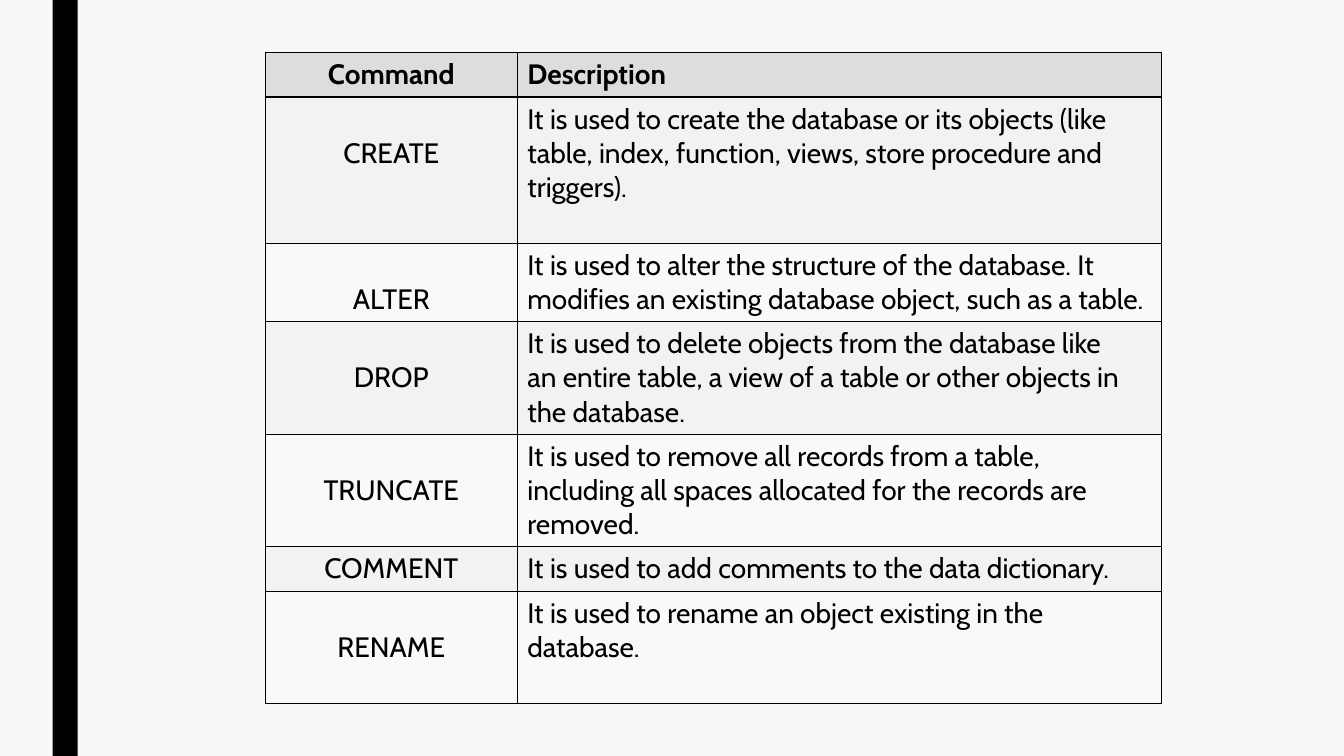
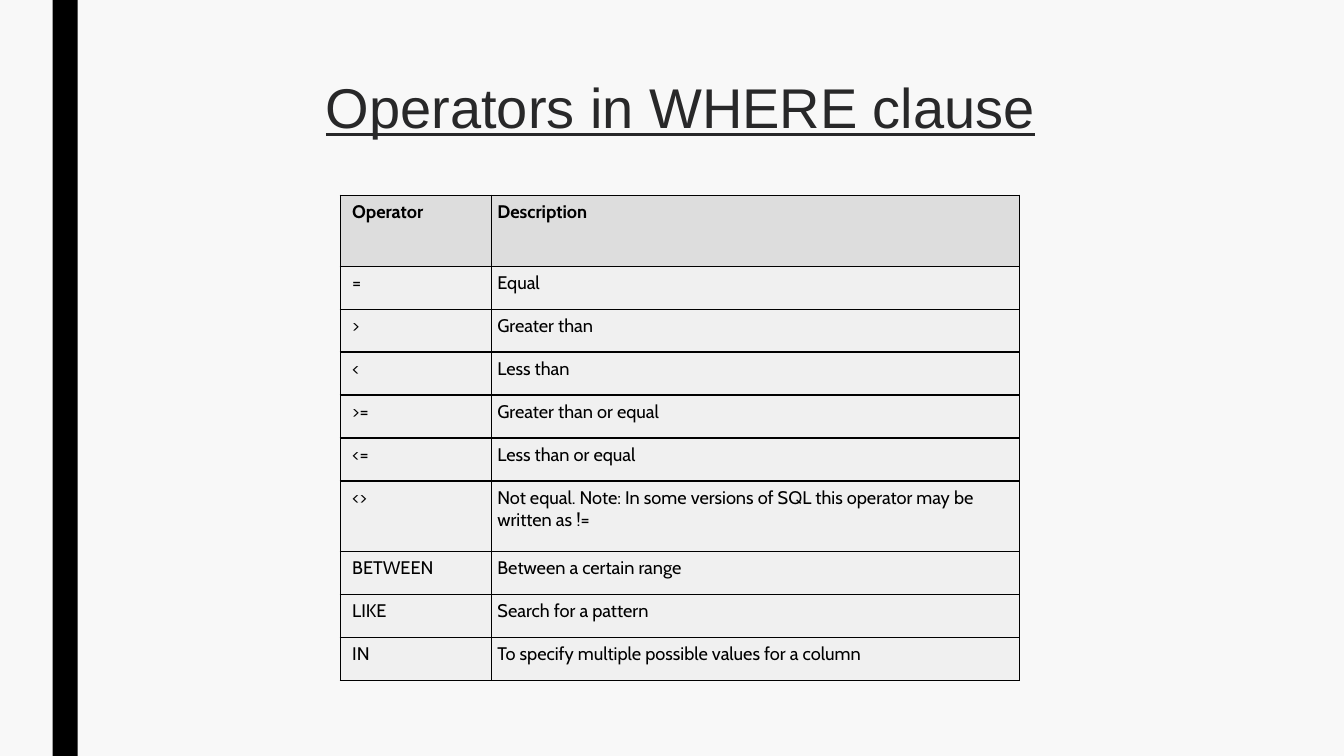
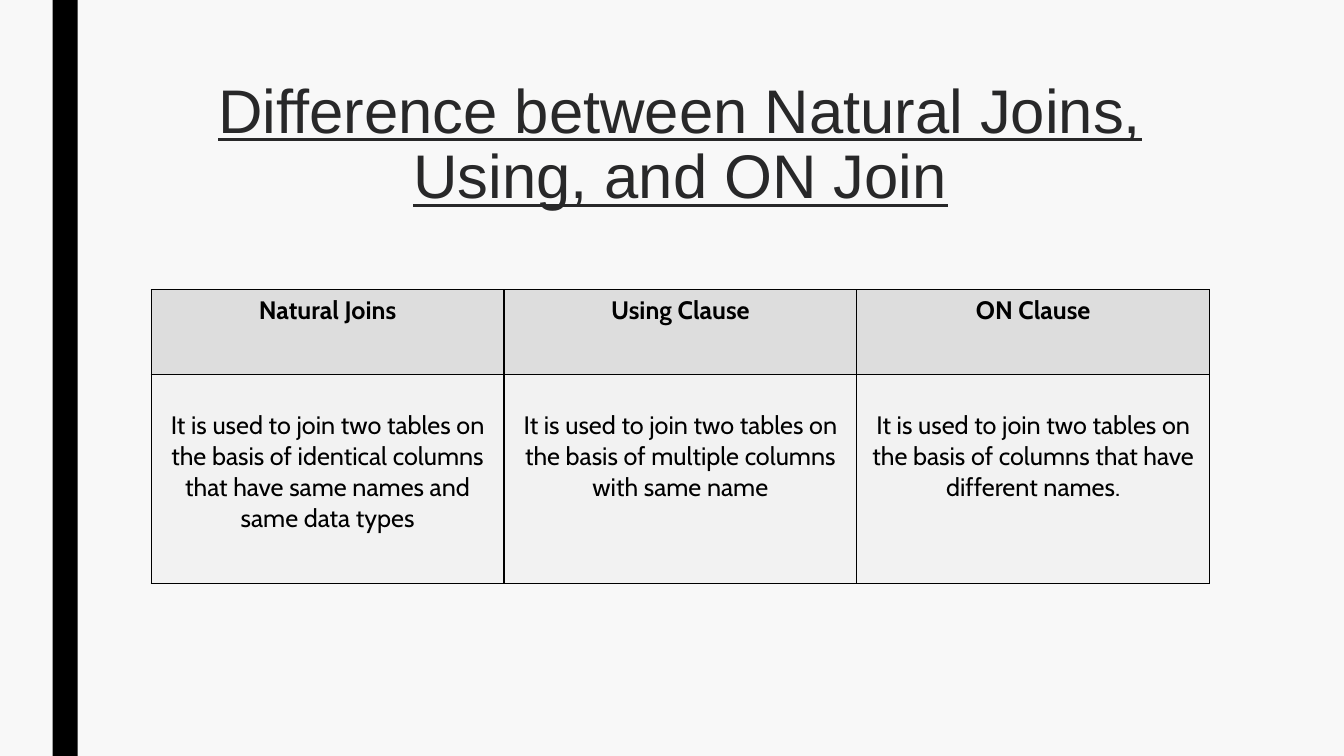
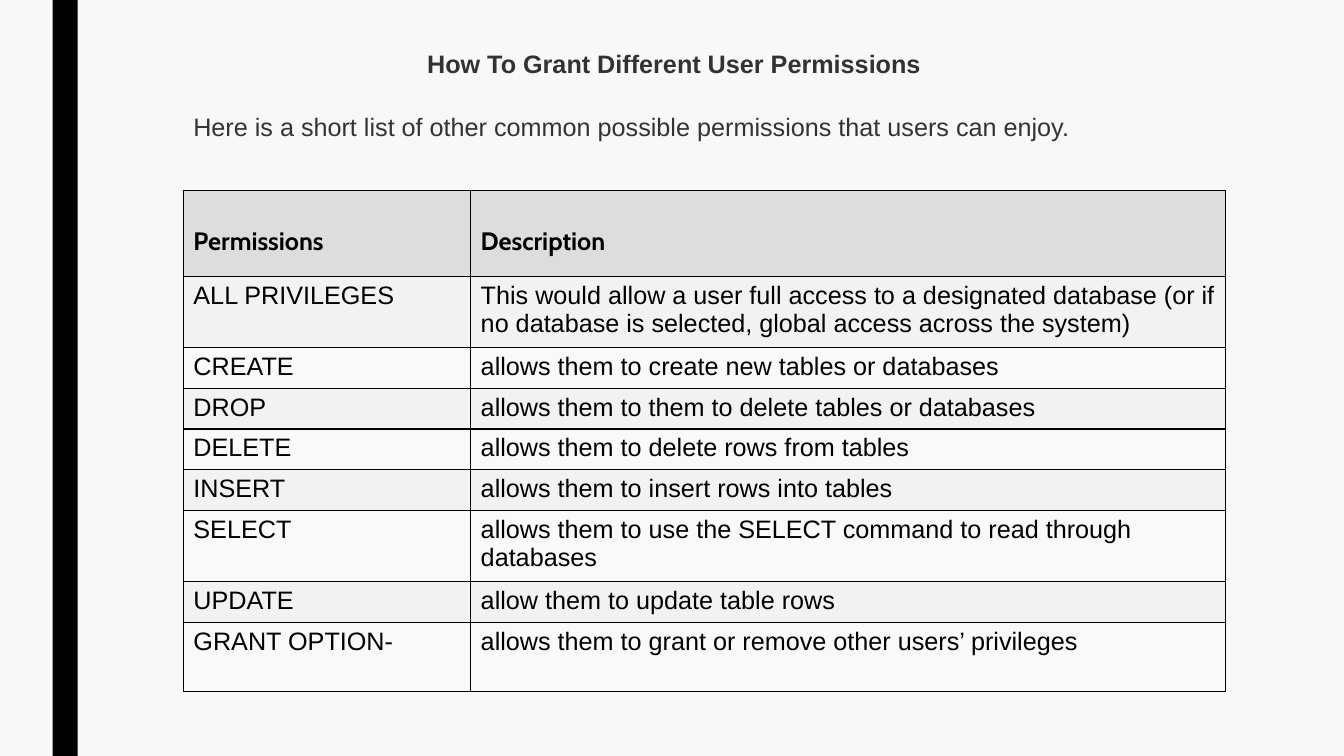
from dataclasses import dataclass

from lxml import etree
from pptx import Presentation
from pptx.dml.color import RGBColor
from pptx.enum.shapes import MSO_SHAPE
from pptx.enum.text import PP_ALIGN
from pptx.oxml.ns import qn
from pptx.util import Pt

CENTER, LEFT = PP_ALIGN.CENTER, PP_ALIGN.LEFT
RECTANGLE = MSO_SHAPE.RECTANGLE


@dataclass(frozen=True)
class Theme:
    background: str = "F8F8F8"
    ink: str = "000000"
    title: str = "282829"
    heading: str = "323232"
    lead: str = "333333"
    header: str = "DDDDDD"
    odd: str = "F2F2F2"
    even: str = "F9F9F9"
    plain: str = "F0F0F0"
    text_font: str = "Arial"
    table_font: str = "Cabin"
    large: int = 20
    medium: int = 18
    small: int = 13
    border: int = 1


THEME = Theme()
SLIDE_SIZE = (960, 540)
BAND = (37.5, 0, 18, 540)
TITLE_BOX = (108, 54, 756, 116.6)
INTRO_BOX = (131, 31, 701, 73)
INTRO_GAP = 23

COMMANDS = {
    "at": (189.5, 37.5),
    "columns": (180, 460),
    "heights": (31.8, 104.5, 56, 80.2, 80.2, 31.8, 80),
    "size": THEME.large,
    "alignments": (CENTER, LEFT),
    "drops": {(row, 0): 24.3 for row in (1, 2, 3, 4, 6)},
    "rows": [
        ("Command", "Description"),
        ("CREATE", "It is used to create the database or its objects (like table, index, function, views, store procedure and triggers)."),
        ("ALTER", "It is used to alter the structure of the database. It modifies an existing database object, such as a table."),
        ("DROP", "It is used to delete objects from the database like\nan entire table, a view of a table or other objects in the database."),
        ("TRUNCATE", "It is used to remove all records from a table, including all spaces allocated for the records are removed."),
        ("COMMENT", "It is used to add comments to the data dictionary."),
        ("RENAME", "It is used to rename an object existing in the database."),
    ],
}

OPERATORS = {
    "title": ("Operators in WHERE clause", 40),
    "at": (243, 139.5),
    "columns": (108, 377.5),
    "heights": (50.6, *[30.7] * 5, 50.2, *[30.7] * 3),
    "size": THEME.small,
    "alignments": (LEFT, LEFT),
    "fills": (THEME.plain, THEME.plain),
    "insets": ((8.6, 4.3), (4.3, 4.3)),
    "rows": [
        ("Operator", "Description"),
        ("=", "Equal"),
        (">", "Greater than"),
        ("<", "Less than"),
        (">=", "Greater than or equal"),
        ("<=", "Less than or equal"),
        ("<>", "Not equal. Note: In some versions of SQL this operator may be written as !="),
        ("BETWEEN", "Between a certain range"),
        ("LIKE", "Search for a pattern"),
        ("IN", "To specify multiple possible values for a column"),
    ],
}

JOINS = {
    "title": ("Difference between Natural Joins, Using, and ON Join", 44),
    "at": (108, 207),
    "columns": (252, 252, 252),
    "heights": (60.6, 149.4),
    "size": THEME.medium,
    "alignments": (CENTER, CENTER, CENTER),
    "drops": {(1, column): 22 for column in range(3)},
    "rows": [
        ("Natural Joins", "Using Clause", "ON Clause"),
        (
            "It is used to join two tables on the basis of identical columns that have same names and same data types",
            "It is used to join two tables on the basis of multiple columns with same name",
            "It is used to join two tables on the basis of columns that have different names.",
        ),
    ],
}

PERMISSIONS = {
    "intro": (
        "How To Grant Different User Permissions",
        "Here is a short list of other common possible permissions that users can enjoy.",
    ),
    "at": (131, 136),
    "columns": (205.2, 539),
    "heights": (61.6, 47.5, *[29.2] * 4, 47.5, 29.2, 49.5),
    "size": THEME.medium,
    "alignments": (LEFT, LEFT),
    "body_font": THEME.text_font,
    "drops": {(0, 0): 22, (0, 1): 22},
    "rows": [
        ("Permissions", "Description"),
        ("ALL PRIVILEGES", "This would allow a user full access to a designated database (or if no database is selected, global access across the system)"),
        ("CREATE", "allows them to create new tables or databases"),
        ("DROP", "allows them to them to delete tables or databases"),
        ("DELETE", "allows them to delete rows from tables"),
        ("INSERT", "allows them to insert rows into tables"),
        ("SELECT", "allows them to use the SELECT command to read through databases"),
        ("UPDATE", "allow them to update table rows"),
        ("GRANT OPTION-", "allows them to grant or remove other users’ privileges"),
    ],
}

SLIDES = [COMMANDS, OPERATORS, JOINS, PERMISSIONS]


def set_attributes(target, values):
    for name, value in values.items():
        setattr(target, name, value)


def points(values):
    return [Pt(value) for value in values]


def paint(fill, color):
    fill.solid()
    fill.fore_color.rgb = RGBColor.from_string(color)


def write(paragraph, text, color, alignment, **font):
    paragraph.alignment = alignment
    run = paragraph.add_run()
    run.text = text
    set_attributes(run.font, font)
    run.font.color.rgb = RGBColor.from_string(color)


def add_band(slide):
    band = slide.shapes.add_shape(RECTANGLE, *points(BAND))
    band.shadow.inherit = False
    paint(band.fill, THEME.ink)
    band.line.fill.background()


def add_text_frame(slide, box):
    frame = slide.shapes.add_textbox(*points(box)).text_frame
    frame.word_wrap = True
    return frame


def add_title(slide, text, size):
    paragraph = add_text_frame(slide, TITLE_BOX).paragraphs[0]
    paragraph.line_spacing = 0.89
    write(paragraph, text, THEME.title, CENTER,
          name=THEME.text_font, size=Pt(size), underline=True)


def add_intro(slide, heading, lead):
    frame = add_text_frame(slide, INTRO_BOX)
    font = {"name": THEME.text_font, "size": Pt(THEME.medium)}
    frame.paragraphs[0].space_after = Pt(INTRO_GAP)
    write(frame.paragraphs[0], heading, THEME.heading, CENTER, bold=True, **font)
    write(frame.add_paragraph(), lead, THEME.lead, LEFT, bold=False, **font)


def add_borders(cell):
    properties = cell._tc.get_or_add_tcPr()
    for side in ("a:lnL", "a:lnR", "a:lnT", "a:lnB"):
        line = etree.SubElement(properties, qn(side), w=str(Pt(THEME.border)))
        fill = etree.SubElement(line, qn("a:solidFill"))
        etree.SubElement(fill, qn("a:srgbClr"), val=THEME.ink)


def add_table(slide, content):
    rows, columns, heights = content["rows"], content["columns"], content["heights"]
    fills = content.get("fills", (THEME.even, THEME.odd))
    insets = content.get("insets", [(7.2, 3.6)] * len(columns))
    box = (*content["at"], sum(columns), sum(heights))
    table = slide.shapes.add_table(len(rows), len(columns), *points(box)).table
    for column, width in zip(table.columns, columns):
        column.width = Pt(width)
    for row, height in zip(table.rows, heights):
        row.height = Pt(height)

    for row_index, texts in enumerate(rows):
        is_header = row_index == 0
        font = {
            "name": THEME.table_font if is_header else content.get("body_font", THEME.table_font),
            "size": Pt(content["size"]),
            "bold": is_header,
        }
        for column_index, text in enumerate(texts):
            cell = table.cell(row_index, column_index)
            left, inset = insets[column_index]
            right = inset if "insets" in content else left
            drop = content.get("drops", {}).get((row_index, column_index), 0)
            set_attributes(cell, {
                "margin_left": Pt(left),
                "margin_right": Pt(right),
                "margin_top": Pt(inset + drop),
                "margin_bottom": Pt(inset),
            })
            add_borders(cell)
            paint(cell.fill, THEME.header if is_header else fills[row_index % 2])
            frame = cell.text_frame
            for index, line in enumerate(text.split("\n")):
                paragraph = frame.add_paragraph() if index else frame.paragraphs[0]
                write(paragraph, line, THEME.ink, content["alignments"][column_index], **font)


def main():
    presentation = Presentation()
    presentation.slide_width, presentation.slide_height = points(SLIDE_SIZE)
    paint(presentation.slide_master.background.fill, THEME.background)
    for content in SLIDES:
        slide = presentation.slides.add_slide(presentation.slide_layouts[6])
        add_band(slide)
        if "title" in content:
            add_title(slide, *content["title"])
        add_table(slide, content)
        if "intro" in content:
            add_intro(slide, *content["intro"])
    presentation.save("out.pptx")


if __name__ == "__main__":
    main()
